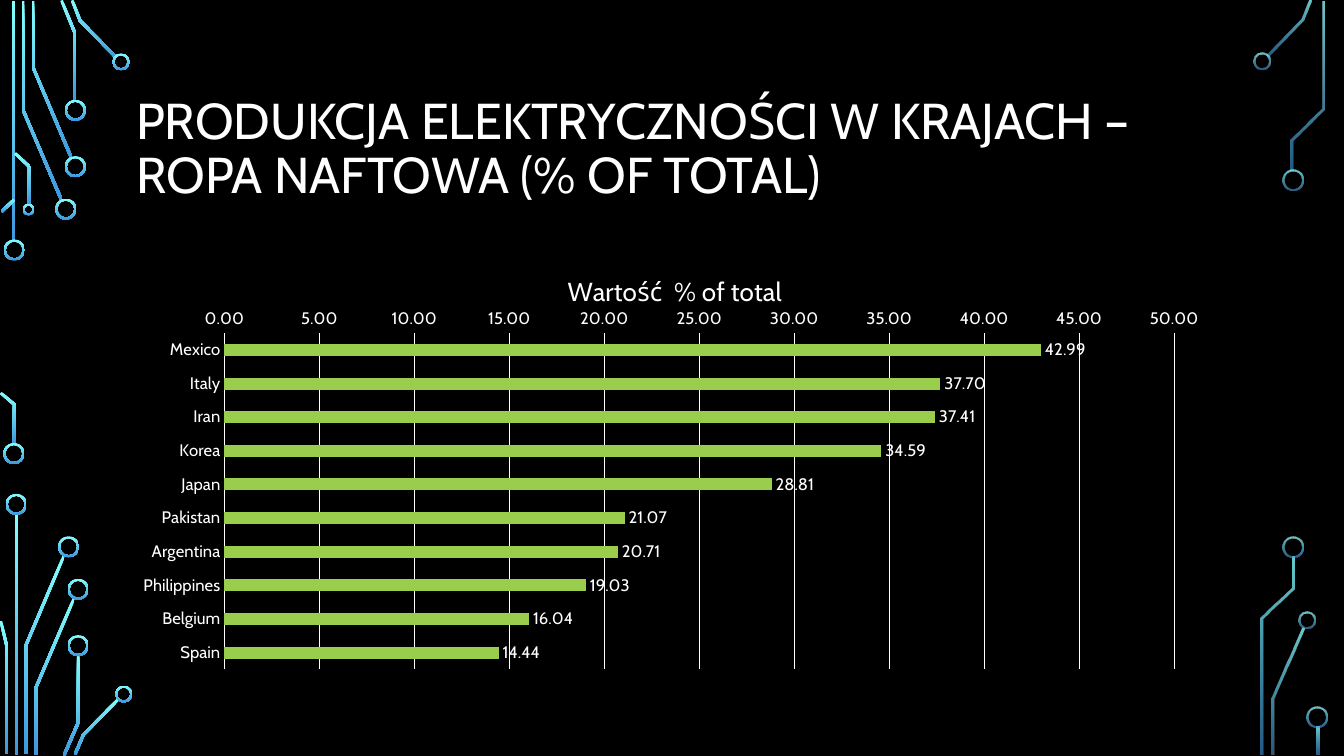
import math

import lxml.etree
import pptx
import pptx.chart.data
import pptx.dml.color
import pptx.enum.chart
import pptx.enum.shapes
import pptx.enum.text
import pptx.oxml.ns
import pptx.util

Cm = pptx.util.Cm
Pt = pptx.util.Pt
qn = pptx.oxml.ns.qn

COLORS = {
    "background": "000000",
    "text": "FFFFFF",
    "bar": "9ACD4C",
    "trace_top": "82FFFF",
    "trace_bottom": "3D97DE",
}
FONT = "Cabin"
TRACE_W = 0.07
RING_W = 0.05
SOLID = (100, 100)
FADED = (80, 60)

# Circuit decoration in cm: traces are centre lines, rings are (x, y, diameter)
LEFT_TRACES = [
    [(0.34, 0.03), (0.34, 6.1)],
    [(0.58, 0.03), (0.58, 2.77), (1.55, 5.04)],
    [(0.83, 0.03), (0.83, 1.69), (1.8, 3.98)],
    [(1.55, 0.01), (1.89, 0.84), (1.89, 2.54)],
    [(1.82, 0.01), (2.02, 0.52), (2.93, 1.45)],
    [(0.04, 5.33), (0.36, 5.03)],
    [(0.02, 9.9), (0.36, 10.19), (0.36, 11.2)],
    [(0.38, 3.86), (0.74, 4.2), (0.74, 5.16)],
    [(0.42, 12.95), (0.42, 19.02)],
    [(0.65, 19), (0.65, 16.27), (1.61, 14.01)],
    [(0.17, 19), (0.17, 16.28), (0.02, 15.65)],
    [(0.9, 19.02), (0.9, 17.34), (1.87, 15.07)],
    [(1.61, 19.04), (1.97, 18.21), (1.97, 16.51)],
    [(1.89, 19.01), (2.1, 18.52), (3, 17.6)],
]
LEFT_RINGS = [
    (0.36, 6.3, 0.53), (0.35, 11.43, 0.53), (1.66, 5.27, 0.53),
    (1.9, 4.2, 0.53), (1.9, 2.78, 0.53), (3.05, 1.56, 0.43),
    (0.72, 5.28, 0.3), (0.41, 12.71, 0.53), (1.73, 13.78, 0.53),
    (1.97, 14.85, 0.53), (1.97, 16.27, 0.53), (3.12, 17.49, 0.43),
]
RIGHT_TRACES = [
    [(31.93, 1.41), (32.83, 0.5), (33.03, 0.01)],
    [(32.07, 19.02), (32.07, 17.61), (32.84, 15.84)],
    [(32.56, 4.29), (32.56, 3.52), (33.34, 2.73), (33.34, 0.03)],
    [(31.81, 19.02), (31.81, 15.58), (32.6, 14.82), (32.6, 14.02)],
    [(33.21, 18.31), (33.21, 19.02)],
]
RIGHT_RINGS = [
    (31.8, 1.54, 0.43), (32.58, 4.53, 0.53), (32.93, 15.63, 0.43),
    (32.59, 13.78, 0.53), (33.18, 18.08, 0.53),
]

OIL_SHARE = {
    "Mexico": 42.99, "Italy": 37.7, "Iran": 37.41, "Korea": 34.59,
    "Japan": 28.81, "Pakistan": 21.07, "Argentina": 20.71,
    "Philippines": 19.03, "Belgium": 16.04, "Spain": 14.44,
}


def rgb(name):
    return pptx.dml.color.RGBColor.from_string(COLORS[name])


def set_format(obj, values):
    for name, value in values.items():
        setattr(obj, name, value)


def set_font(font, size):
    set_format(font, {"name": FONT, "size": Pt(size), "bold": False})
    font.color.rgb = rgb("text")


def set_line(line, color, width):
    line.color.rgb = rgb(color)
    line.width = Pt(width)


def paint_circuit(sp, alphas):
    sp.shadow.inherit = False
    sp.line.fill.background()
    sp.fill.gradient()
    sp.fill.gradient_angle = 270
    for stop, color, alpha in zip(sp.fill.gradient_stops, ("trace_top", "trace_bottom"), alphas):
        stop.color.rgb = rgb(color)
    for clr, alpha in zip(sp._element.spPr.iter(qn("a:srgbClr")), alphas):
        if alpha < 100:
            lxml.etree.SubElement(clr, qn("a:alpha")).set("val", str(alpha * 1000))


def trace_outline(points):
    """Return the mitred outline of a trace around its centre line."""
    normals = []
    for (x1, y1), (x2, y2) in zip(points, points[1:]):
        length = math.hypot(x2 - x1, y2 - y1)
        normals.append(((y1 - y2) / length, (x2 - x1) / length))
    left, right = [], []
    for (x, y), a, b in zip(points, normals[:1] + normals, normals + normals[-1:]):
        k = TRACE_W / 2 / (1 + a[0] * b[0] + a[1] * b[1])
        dx, dy = (a[0] + b[0]) * k, (a[1] + b[1]) * k
        left.append((x + dx, y + dy))
        right.append((x - dx, y - dy))
    return left + right[::-1]


def add_trace(slide, points, alphas):
    (x1, y1), (x2, y2) = points[0], points[-1]
    if x1 == x2:
        sp = slide.shapes.add_shape(pptx.enum.shapes.MSO_SHAPE.RECTANGLE,
                                    Cm(x1 - TRACE_W / 2), Cm(y1), Cm(TRACE_W), Cm(y2 - y1))
    else:
        outline = [(Cm(x), Cm(y)) for x, y in trace_outline(points)]
        builder = slide.shapes.build_freeform(*outline[0])
        builder.add_line_segments(outline[1:], close=True)
        sp = builder.convert_to_shape()
    paint_circuit(sp, alphas)


def add_ring(slide, x, y, d, alphas):
    sp = slide.shapes.add_shape(pptx.enum.shapes.MSO_SHAPE.DONUT,
                                Cm(x - d / 2), Cm(y - d / 2), Cm(d), Cm(d))
    sp.adjustments[0] = RING_W / d
    paint_circuit(sp, alphas)


def add_circuit(slide, traces, rings, alphas):
    for points in traces:
        add_trace(slide, points, alphas)
    for x, y, d in rings:
        add_ring(slide, x, y, d, alphas)


def add_title(slide, text):
    tf = slide.shapes.add_textbox(Cm(3.18), Cm(1.73), Cm(27.51), Cm(4.11)).text_frame
    set_format(tf, {"word_wrap": True, "vertical_anchor": pptx.enum.text.MSO_ANCHOR.MIDDLE})
    p = tf.paragraphs[0]
    p.line_spacing = 0.9
    r = p.add_run()
    r.text = text
    set_font(r.font, 36)


def place(parent, index, values, inner=False):
    """Give a chart part a manual layout, in fractions of the chart."""
    for old in parent.findall(qn("c:layout")):
        parent.remove(old)
    layout = lxml.etree.Element(qn("c:layout"))
    manual = lxml.etree.SubElement(layout, qn("c:manualLayout"))
    settings = {"layoutTarget": "inner"} if inner else {}
    settings.update({"xMode": "edge", "yMode": "edge"}, **values)
    for tag, value in settings.items():
        lxml.etree.SubElement(manual, qn("c:" + tag)).set("val", str(value))
    parent.insert(index, layout)


def add_bar_chart(slide, title, shares):
    data = pptx.chart.data.CategoryChartData(number_format="0.00")
    data.categories = list(shares)
    data.add_series("Series 1", list(shares.values()))
    chart = slide.shapes.add_chart(pptx.enum.chart.XL_CHART_TYPE.BAR_CLUSTERED,
                                   Cm(3.18), Cm(6.22), Cm(27.51), Cm(10.87), data).chart
    set_format(chart, {"has_legend": False, "has_title": True})
    set_font(chart.font, 10)

    # Title and plot position
    p = chart.chart_title.text_frame.paragraphs[0]
    r = p.add_run()
    r.text = title
    set_font(r.font, 18.6)
    place(chart.chart_title._element, 1, {"x": 0.4, "y": 0.05})
    place(chart._chartSpace.chart.plotArea, 0,
          {"x": 0.09, "y": 0.2, "w": 0.87, "h": 0.78}, inner=True)

    # Axes
    no_ticks = pptx.enum.chart.XL_TICK_MARK.NONE
    cat, val = chart.category_axis, chart.value_axis
    for axis in (cat, val):
        set_format(axis, {"major_tick_mark": no_ticks, "minor_tick_mark": no_ticks})
        set_font(axis.tick_labels.font, 11.9)
    cat.reverse_order = True
    set_line(cat.format.line, "text", 0.75)
    set_format(val, {"minimum_scale": 0, "maximum_scale": 50, "major_unit": 5,
                     "has_major_gridlines": True})
    set_line(val.major_gridlines.format.line, "text", 0.75)
    val.format.line.fill.background()
    number = {"number_format": "0.00", "number_format_is_linked": False}
    set_format(val.tick_labels, number)

    # Bars and their values
    plot = chart.plots[0]
    set_format(plot, {"gap_width": 182, "vary_by_categories": False})
    bars = plot.series[0]
    bars.format.fill.solid()
    bars.format.fill.fore_color.rgb = rgb("bar")
    set_format(bars.data_labels, {
        "show_value": True, "position": pptx.enum.chart.XL_LABEL_POSITION.OUTSIDE_END, **number})
    set_font(bars.data_labels.font, 11.9)


def main():
    prs = pptx.Presentation()
    set_format(prs, {"slide_width": Cm(33.87), "slide_height": Cm(19.05)})
    slide = prs.slides.add_slide(prs.slide_layouts[6])
    slide.background.fill.solid()
    slide.background.fill.fore_color.rgb = rgb("background")

    add_circuit(slide, LEFT_TRACES, LEFT_RINGS, SOLID)
    add_circuit(slide, RIGHT_TRACES, RIGHT_RINGS, FADED)
    add_title(slide, "PRODUKCJA ELEKTRYCZNOŚCI W KRAJACH – ROPA NAFTOWA (% OF TOTAL)")
    add_bar_chart(slide, "Wartość  % of total", OIL_SHARE)
    prs.save("out.pptx")


if __name__ == "__main__":
    main()
